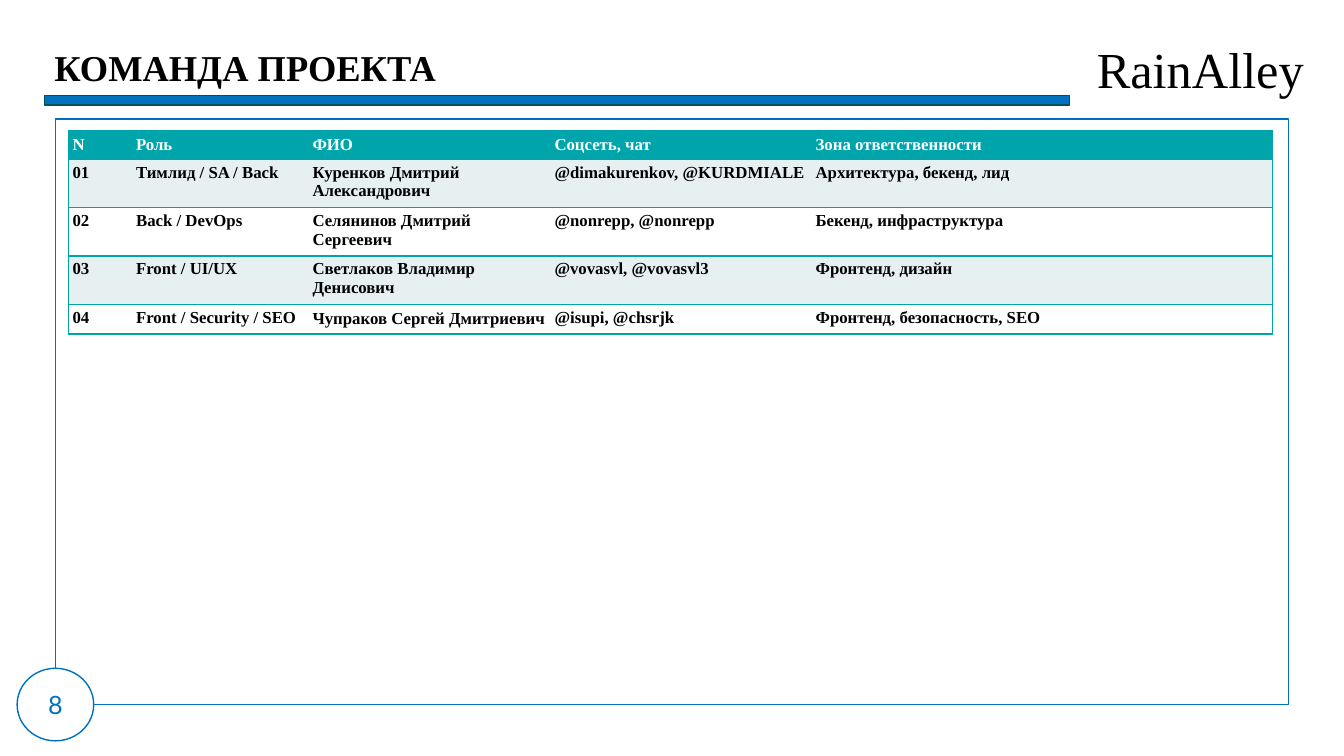
from lxml.etree import SubElement
from pptx import Presentation
from pptx.dml.color import RGBColor as Rgb
from pptx.enum.shapes import MSO_SHAPE as Kind
from pptx.enum.text import MSO_ANCHOR as Anchor, MSO_AUTO_SIZE as Auto, PP_ALIGN as Align
from pptx.oxml.ns import qn
from pptx.util import Pt

SCALE = 9144
SERIF = "Times New Roman"
BLUE, TEAL, PALE, WHITE, BLACK = "0070C0", "00A5AB", "E7F0F1", "FFFFFF", "000000"
COLS = [63, 175, 240, 259, 457]
ROWS = [28, 48, 48, 48, 28]
TEAM = [
    ["N", "Роль", "ФИО", "Соцсеть, чат", "Зона ответственности"],
    ["01", "Тимлид / SA / Back", "Куренков Дмитрий Александрович",
     "@dimakurenkov, @KURDMIALE", "Архитектура, бекенд, лид"],
    ["02", "Back / DevOps", "Селянинов Дмитрий Сергеевич",
     "@nonrepp, @nonrepp", "Бекенд, инфраструктура"],
    ["03", "Front / UI/UX", "Светлаков Владимир Денисович",
     "@vovasvl, @vovasvl3", "Фронтенд, дизайн"],
    ["04", "Front / Security / SEO", "Чупраков Сергей Дмитриевич",
     "@isupi, @chsrjk", "Фронтенд, безопасность, SEO"],
]


def px(num):
    return int(num * SCALE)


def hue(code):
    return Rgb.from_string(code)


def write(frame, text, size, color, font=SERIF, bold=False, align=Align.LEFT):
    para = frame.paragraphs[0]
    para.alignment = align
    run = para.add_run()
    run.text = text
    run.font.size = Pt(size)
    run.font.name = font
    run.font.bold = bold
    run.font.color.rgb = hue(color)
    return para


def draw(slide, kind, box, fill, line):
    shape = slide.shapes.add_shape(kind, *map(px, box))
    shape.shadow.inherit = False
    if fill:
        shape.fill.solid()
        shape.fill.fore_color.rgb = hue(fill)
    else:
        shape.fill.background()
    shape.line.color.rgb = hue(line)
    shape.line.width = Pt(1)
    return shape


def head(slide, left, top):
    title = slide.shapes.title
    title.left, title.top, title.width, title.height = map(px, (left, top, 722, 61))
    frame = title.text_frame
    frame.auto_size = Auto.NONE
    frame.vertical_anchor = Anchor.BOTTOM
    write(frame, "КОМАНДА ПРОЕКТА", 26, BLACK, bold=True).line_spacing = 0.9
    draw(slide, Kind.RECTANGLE, (left, top + 62, 1017, 9), BLUE, "005256")
    mark = slide.shapes.add_textbox(*map(px, (left + 1034, top, 289, 71)))
    mark.text_frame.word_wrap = True
    write(mark.text_frame, "RainAlley", 36, BLACK)


def panel(slide, left, top, wide, high):
    draw(slide, Kind.RECTANGLE, (left, top, wide, high), None, BLUE)
    badge = draw(slide, Kind.FLOWCHART_CONNECTOR,
                 (left - 38, top + high - 36, 76, 72), WHITE, BLUE)
    badge.text_frame.vertical_anchor = Anchor.MIDDLE
    write(badge.text_frame, "8", 18, BLUE, "Lato", align=Align.CENTER)


def edge(cell, first, last):
    props = cell._tc.get_or_add_tcPr()
    shown = {"lnL": first, "lnR": last, "lnT": True, "lnB": True}
    for tag, seen in shown.items():
        line = SubElement(props, qn("a:" + tag), w=str(Pt(1)))
        if seen:
            fill = SubElement(line, qn("a:solidFill"))
            SubElement(fill, qn("a:srgbClr"), val=TEAL)
        else:
            SubElement(line, qn("a:noFill"))


def roster(slide, left, top):
    box = map(px, (left, top, sum(COLS), sum(ROWS)))
    table = slide.shapes.add_table(len(ROWS), len(COLS), *box).table
    table.first_row = table.horz_banding = False
    for col, wide in zip(table.columns, COLS):
        col.width = px(wide)
    for i, (row, high, texts) in enumerate(zip(table.rows, ROWS, TEAM)):
        row.height = px(high)
        back = TEAL if i == 0 else PALE if i % 2 else WHITE
        for j, (cell, text) in enumerate(zip(row.cells, texts)):
            cell.margin_left = cell.margin_right = px(4)
            cell.margin_top = cell.margin_bottom = px(4)
            edge(cell, j == 0, j == len(COLS) - 1)
            cell.fill.solid()
            cell.fill.fore_color.rgb = hue(back)
            write(cell.text_frame, text, 12, BLACK if i else WHITE, bold=True)
    para = table.cell(4, 2).text_frame.paragraphs[0]
    para.alignment = Align.JUSTIFY
    para.line_spacing = 1.07


def main():
    deck = Presentation()
    deck.slide_width, deck.slide_height = px(1333), px(750)
    slide = deck.slides.add_slide(deck.slide_layouts[5])
    panel(slide, 55, 118, 1223, 581)
    head(slide, 44, 33)
    roster(slide, 68, 130)
    deck.save("out.pptx")


if __name__ == "__main__":
    main()
